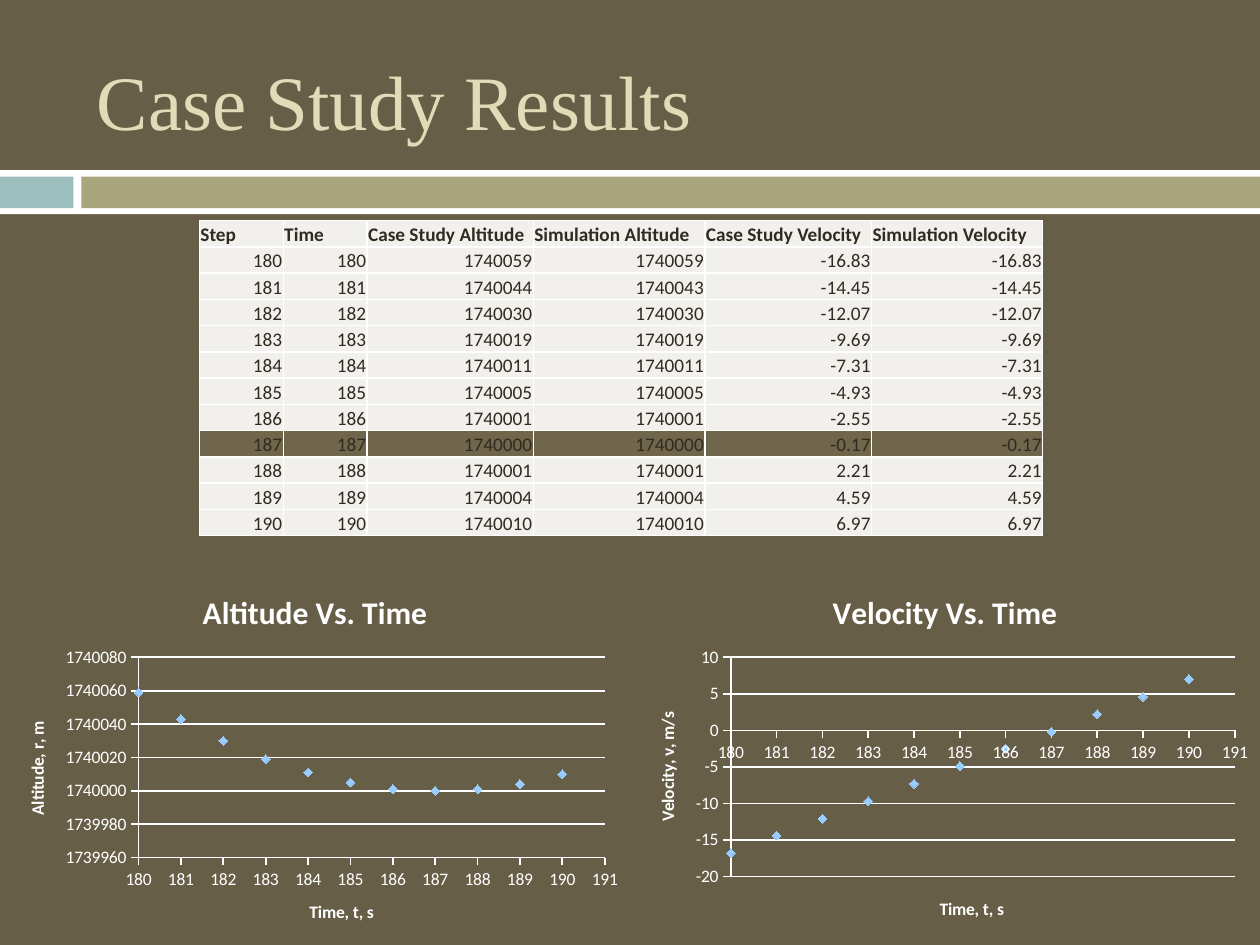
from dataclasses import dataclass
from typing import Any

from lxml import etree
from pptx import Presentation
from pptx.chart.data import XyChartData
from pptx.dml.color import RGBColor
from pptx.enum.chart import XL_CHART_TYPE, XL_MARKER_STYLE, XL_TICK_MARK
from pptx.enum.shapes import MSO_SHAPE
from pptx.enum.text import MSO_ANCHOR, PP_ALIGN
from pptx.oxml import parse_xml
from pptx.oxml.ns import nsdecls, qn
from pptx.util import Cm, Pt

SCATTER = XL_CHART_TYPE.XY_SCATTER
DIAMOND = XL_MARKER_STYLE.DIAMOND
OUTSIDE = XL_TICK_MARK.OUTSIDE
NO_TICK = XL_TICK_MARK.NONE
RECTANGLE = MSO_SHAPE.RECTANGLE
MIDDLE, BOTTOM = MSO_ANCHOR.MIDDLE, MSO_ANCHOR.BOTTOM
LEFT, RIGHT = PP_ALIGN.LEFT, PP_ALIGN.RIGHT

COLORS = {
    "background": "675E47", "white": "FFFFFF", "teal": "9CBEBD", "olive": "A9A57C",
    "title": "DFDCB7", "cell": "F1F0EC", "landing": "6F664C", "ink": "2F2B20",
    "marker": "99CCFF",
}
BODY_FONT = "Calibri"
LANDING_STEP = 187


@dataclass
class Band:
    left: float
    top: float
    width: float
    height: float
    color: str


@dataclass
class Plot:
    title: str
    axis_title: str
    left: float
    values: list[float]
    minimum: float
    maximum: float
    step: float
    area: dict[str, float]


def rgb(name: str) -> RGBColor:
    return RGBColor.from_string(COLORS[name])


def apply(target: Any, values: dict[str, Any]) -> None:
    for key, value in values.items():
        setattr(target, key, value)


def style_font(font: Any, color: str, values: dict[str, Any]) -> None:
    apply(font, values)
    font.color.rgb = rgb(color)


def draw_band(slide: Any, band: Band) -> None:
    bar = slide.shapes.add_shape(RECTANGLE, Cm(band.left), Cm(band.top), Cm(band.width), Cm(band.height))
    bar.shadow.inherit = False
    bar.fill.solid()
    bar.fill.fore_color.rgb = rgb(band.color)
    bar.line.fill.background()


def add_borders(cell: Any) -> None:
    properties = cell._tc.get_or_add_tcPr()
    for index, side in enumerate(("lnL", "lnR", "lnT", "lnB")):
        properties.insert(index, parse_xml(
            f'<a:{side} {nsdecls("a")} w="12700"><a:solidFill>'
            f'<a:srgbClr val="{COLORS["white"]}"/></a:solidFill></a:{side}>'))


def fill_cell(cell: Any, text: str, fill: str, header: bool) -> None:
    apply(cell, {
        "text": text, "vertical_anchor": BOTTOM, "margin_left": Cm(0.02),
        "margin_right": Cm(0.02), "margin_top": Cm(0.02), "margin_bottom": 0,
    })
    cell.fill.solid()
    cell.fill.fore_color.rgb = rgb(fill)
    paragraph = cell.text_frame.paragraphs[0]
    paragraph.alignment = LEFT if header else RIGHT
    style_font(paragraph.runs[0].font, "ink", {"name": BODY_FONT, "size": Pt(11), "bold": header})
    add_borders(cell)


def draw_results(slide: Any, headers: list[str], records: list[tuple], widths: list[float]) -> None:
    height = 6.35
    row_count = len(records) + 1
    frame = slide.shapes.add_table(
        row_count, len(headers), Cm(4.02), Cm(4.45), Cm(sum(widths)), Cm(height))
    table = frame.table
    apply(table, {"first_row": False, "horz_banding": False})
    for column, width in zip(table.columns, widths):
        column.width = Cm(width)
    for row in table.rows:
        row.height = Cm(height / row_count)
    for row, record in enumerate([tuple(headers), *records]):
        fill = "landing" if record[0] == LANDING_STEP else "cell"
        for column, value in enumerate(record):
            fill_cell(table.cell(row, column), str(value), fill, row == 0)


def write_title(owner: Any, text: str, size: int) -> None:
    owner.text_frame.text = text
    style_font(owner.text_frame.paragraphs[0].runs[0].font, "white",
               {"name": BODY_FONT, "size": Pt(size), "bold": True})


def style_axis(axis: Any, title: str, scale: dict[str, Any]) -> None:
    apply(axis, {"major_tick_mark": OUTSIDE, "minor_tick_mark": NO_TICK, **scale})
    write_title(axis.axis_title, title, 10)
    lines = [axis.format.line]
    if axis.has_major_gridlines:
        lines.append(axis.major_gridlines.format.line)
    for line in lines:
        line.color.rgb = rgb("white")
        line.width = Pt(1)


def place_plot_area(chart: Any, area: dict[str, float]) -> None:
    plot_area = chart._chartSpace.find(qn("c:chart")).find(qn("c:plotArea"))
    layout = plot_area.find(qn("c:layout"))
    if layout is None:
        layout = etree.Element(qn("c:layout"))
        plot_area.insert(0, layout)
    manual = etree.SubElement(layout, qn("c:manualLayout"))
    settings = {"layoutTarget": "inner", "xMode": "edge", "yMode": "edge", **area}
    for key, value in settings.items():
        etree.SubElement(manual, qn(f"c:{key}")).set("val", str(value))


def draw_plot(slide: Any, plot: Plot, times: list[int]) -> None:
    data = XyChartData()
    points = data.add_series("Series 1")
    for time, value in zip(times, plot.values):
        points.add_data_point(time, value)
    chart = slide.shapes.add_chart(
        SCATTER, Cm(plot.left), Cm(11.5), Cm(12.7), Cm(7.62), data).chart
    style_font(chart.font, "white", {"name": BODY_FONT, "size": Pt(10)})
    chart.has_legend = False
    write_title(chart.chart_title, plot.title, 18)
    style_axis(chart.category_axis, "Time, t, s", {
        "minimum_scale": 180, "maximum_scale": 191, "major_unit": 1, "has_major_gridlines": False})
    style_axis(chart.value_axis, plot.axis_title, {
        "minimum_scale": plot.minimum, "maximum_scale": plot.maximum,
        "major_unit": plot.step, "has_major_gridlines": True})
    chart.plots[0].vary_by_categories = False
    series = chart.plots[0].series[0]
    series.smooth = False
    series.format.line.fill.background()
    apply(series.marker, {"style": DIAMOND, "size": 5})
    series.marker.format.fill.solid()
    series.marker.format.fill.fore_color.rgb = rgb("marker")
    series.marker.format.line.fill.background()
    place_plot_area(chart, plot.area)


steps = list(range(180, 191))
simulated_altitudes = [1740059, 1740043, 1740030, 1740019, 1740011, 1740005,
                       1740001, 1740000, 1740001, 1740004, 1740010]
study_altitudes = [1740044 if step == 181 else altitude
                   for step, altitude in zip(steps, simulated_altitudes)]
velocities = [-16.83, -14.45, -12.07, -9.69, -7.31, -4.93, -2.55, -0.17, 2.21, 4.59, 6.97]
plotted_velocities = [round(velocity, 1) for velocity in velocities]
headers = ["Step", "Time", "Case Study Altitude", "Simulation Altitude",
           "Case Study Velocity", "Simulation Velocity"]
records = list(zip(steps, steps, study_altitudes, simulated_altitudes, velocities, velocities))

bands = [
    Band(0, 3.43, 25.4, 0.89, "white"),
    Band(0, 3.56, 1.48, 0.64, "teal"),
    Band(1.64, 3.56, 23.76, 0.64, "olive"),
]
plots = [
    Plot("Altitude Vs. Time", "Altitude, r, m", 0, simulated_altitudes, 1739960, 1740080, 20,
         {"x": 0.22, "y": 0.23, "w": 0.74, "h": 0.53}),
    Plot("Velocity Vs. Time", "Velocity, v, m/s", 12.7, plotted_velocities, -20, 10, 5,
         {"x": 0.16, "y": 0.23, "w": 0.8, "h": 0.58}),
]

presentation = Presentation()
apply(presentation, {"slide_width": Cm(25.4), "slide_height": Cm(19.05)})
slide = presentation.slides.add_slide(presentation.slide_layouts[5])
slide.background.fill.solid()
slide.background.fill.fore_color.rgb = rgb("background")

heading = slide.shapes.title
apply(heading, {"left": Cm(1.7), "top": Cm(0.64), "width": Cm(22.66), "height": Cm(2.74)})
heading.text_frame.text = "Case Study Results"
heading.text_frame.vertical_anchor = MIDDLE
heading_line = heading.text_frame.paragraphs[0]
heading_line.alignment = LEFT
style_font(heading_line.runs[0].font, "title", {"name": "Times New Roman", "size": Pt(44)})

for band in bands:
    draw_band(slide, band)
for plot in plots:
    draw_plot(slide, plot, steps)
draw_results(slide, headers, records, [1.69, 1.69, 3.35, 3.46, 3.36, 3.45])

presentation.save("out.pptx")
